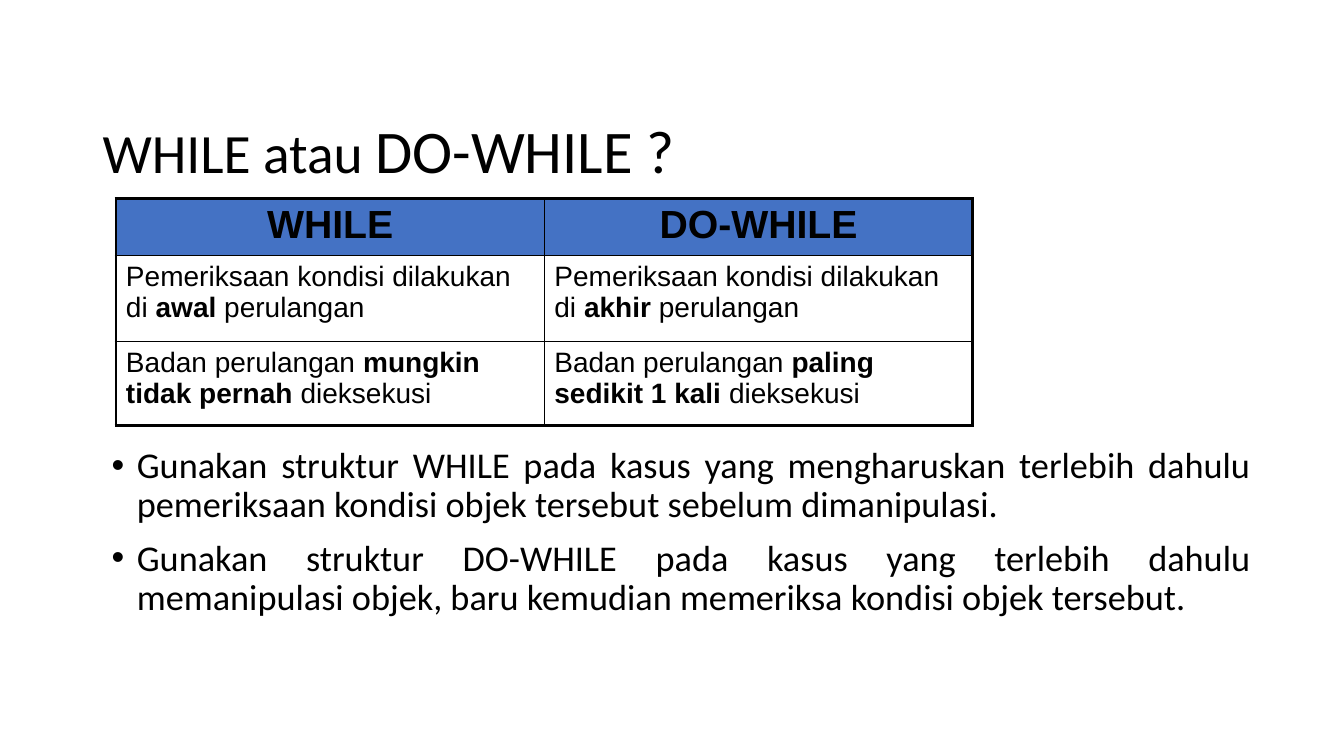
from pptx import Presentation
from pptx.dml.color import RGBColor
from pptx.enum.text import MSO_ANCHOR, PP_ALIGN
from pptx.oxml import parse_xml
from pptx.oxml.ns import nsdecls
from pptx.util import Pt

BLACK = RGBColor(0, 0, 0)
BLUE = RGBColor(0x44, 0x72, 0xC4)
THICK, THIN = 2.25, 1


def add_run(p, text, **fmt):
    r = p.add_run()
    r.text = text
    r.font.color.rgb = BLACK
    for name, value in fmt.items():
        setattr(r.font, name, value)


def add_border(cell, side, width):
    cell._tc.get_or_add_tcPr().append(parse_xml(
        f'<a:{side} {nsdecls("a")} w="{Pt(width)}"><a:solidFill>'
        f'<a:srgbClr val="{BLACK}"/></a:solidFill></a:{side}>'))


prs = Presentation()
prs.slide_width, prs.slide_height = Pt(960), Pt(540)
s = prs.slides.add_slide(prs.slide_layouts[6])

# Title
tf = s.shapes.add_textbox(Pt(66.2), Pt(90.7), Pt(828), Pt(38.9)).text_frame
tf.word_wrap = True
tf.vertical_anchor = MSO_ANCHOR.MIDDLE
p = tf.paragraphs[0]
p.line_spacing = 0.9
for text, size in (("WHILE atau ", 39.6), ("DO-WHILE ?", 43.2)):
    add_run(p, text, name="Calibri", size=Pt(size))

# Usage advice
tf = s.shapes.add_textbox(Pt(72.7), Pt(316.1), Pt(828), Pt(139.7)).text_frame
tf.word_wrap = True
advice = (
    "Gunakan struktur WHILE pada kasus yang mengharuskan terlebih dahulu "
    "pemeriksaan kondisi objek tersebut sebelum dimanipulasi.",
    "Gunakan struktur DO-WHILE pada kasus yang terlebih dahulu "
    "memanipulasi objek, baru kemudian memeriksa kondisi objek tersebut.",
)
for i, text in enumerate(advice):
    p = tf.add_paragraph() if i else tf.paragraphs[0]
    p.alignment = PP_ALIGN.JUSTIFY
    p.line_spacing = 0.9
    if i:
        p.space_before = Pt(10)
    pPr = p._p.get_or_add_pPr()
    pPr.set("marL", str(Pt(18)))
    pPr.set("indent", str(-Pt(18)))
    pPr.append(parse_xml(f'<a:buFont {nsdecls("a")} typeface="Arial"/>'))
    pPr.append(parse_xml(f'<a:buChar {nsdecls("a")} char="•"/>'))
    add_run(p, text, name="Calibri", size=Pt(25.9))

# Comparison table: every second text piece of a cell is bold
rows = (
    (("", "WHILE"), ("", "DO-WHILE")),
    (("Pemeriksaan kondisi dilakukan di ", "awal", " perulangan"),
     ("Pemeriksaan kondisi dilakukan di ", "akhir ", "perulangan")),
    (("Badan perulangan ", "mungkin tidak pernah", " dieksekusi"),
     ("Badan perulangan ", "paling sedikit 1 kali ", "dieksekusi")),
)
table = s.shapes.add_table(3, 2, Pt(82.8), Pt(141.8), Pt(612), Pt(160.5)).table
for row, height in zip(table.rows, (39, 61.5, 60)):
    row.height = Pt(height)
for i, row in enumerate(rows):
    for j, pieces in enumerate(row):
        cell = table.cell(i, j)
        for side, outer in (("lnL", j == 0), ("lnR", j == 1),
                            ("lnT", i == 0), ("lnB", i == 2)):
            add_border(cell, side, THICK if outer else THIN)
        if i == 0:
            cell.fill.solid()
            cell.fill.fore_color.rgb = BLUE
        else:
            cell.fill.background()
        p = cell.text_frame.paragraphs[0]
        p.alignment = PP_ALIGN.LEFT if i else PP_ALIGN.CENTER
        for k, text in enumerate(pieces):
            if text:
                add_run(p, text, name="Arial", size=Pt(20 if i else 28), bold=k == 1)

prs.save("out.pptx")
